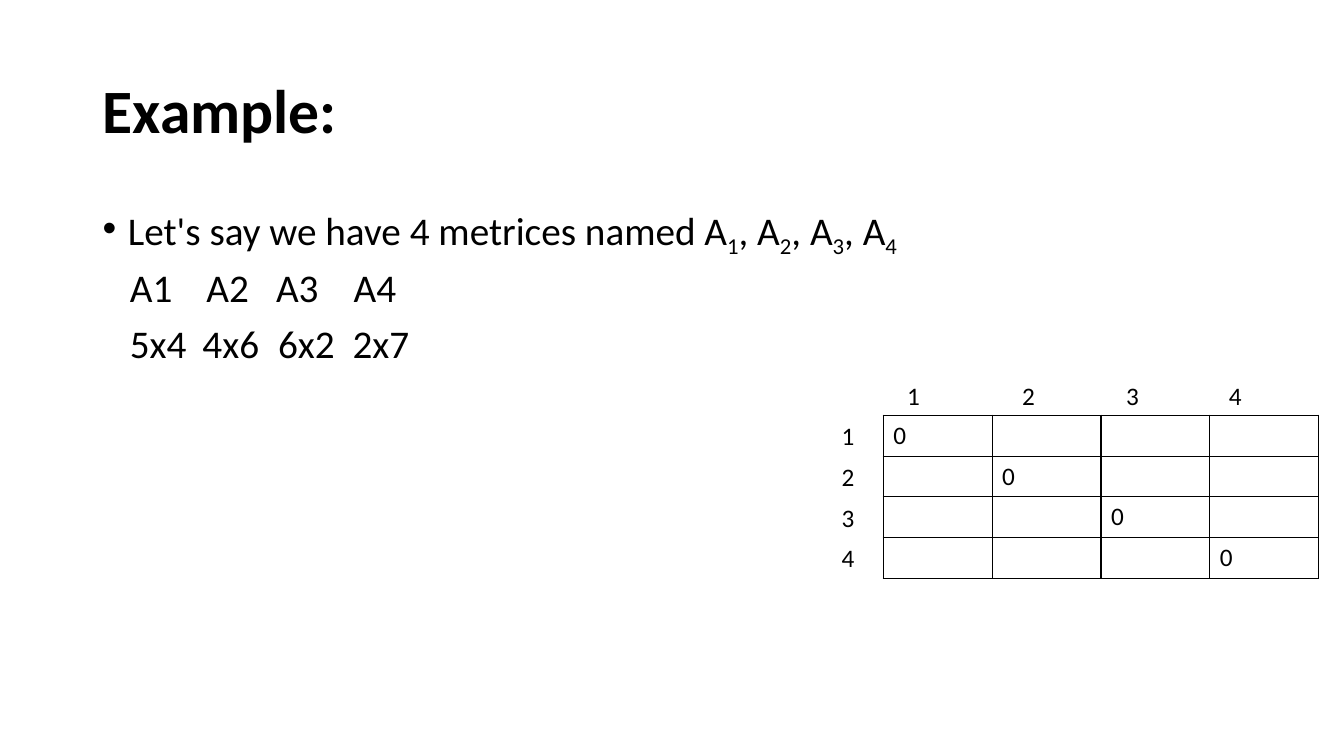
from dataclasses import dataclass

from lxml import etree
from pptx import Presentation
from pptx import util as u
from pptx.dml import color
from pptx.enum import text as t
from pptx.oxml import ns


@dataclass(frozen=True)
class Theme:
    font: str = "Calibri"
    ink: color.RGBColor = color.RGBColor(0, 0, 0)
    title_size: int = 44
    body_size: int = 28
    table_size: int = 18
    border_width: int = 1


THEME = Theme()


def add_child(parent, tag, **attributes):
    child = etree.SubElement(parent, ns.qn(tag))
    for name, value in attributes.items():
        child.set(name, str(value))
    return child


def write(paragraph, content, size, bold=False, line_spacing=None,
          space_before=0, bullet_indent=None, tabs=()):
    """Fill a paragraph; pieces after odd-numbered "_" marks are subscripts."""
    paragraph.space_before = u.Pt(space_before)
    if line_spacing:
        paragraph.line_spacing = line_spacing
    properties = paragraph._p.get_or_add_pPr()
    if bullet_indent:
        properties.set("marL", str(u.Inches(bullet_indent)))
        properties.set("indent", str(-u.Inches(bullet_indent)))
        add_child(properties, "a:buFont", typeface="Arial")
        add_child(properties, "a:buChar", char="•")
    if tabs:
        tab_list = add_child(properties, "a:tabLst")
        for position in tabs:
            add_child(tab_list, "a:tab", pos=u.Inches(position), algn="l")
    for index, piece in enumerate(content.split("_")):
        if not piece:
            continue
        run = paragraph.add_run()
        run.text = piece
        run.font.name = THEME.font
        run.font.size = u.Pt(size)
        run.font.bold = bold
        run.font.color.rgb = THEME.ink
        if index % 2:
            run._r.get_or_add_rPr().set("baseline", "-25000")


def add_text_frame(slide, left, top, width, height):
    shape = slide.shapes.add_textbox(*map(u.Inches, (left, top, width, height)))
    shape.text_frame.word_wrap = True
    return shape.text_frame


def add_title(slide, left, top, width, height):
    frame = add_text_frame(slide, left, top, width, height)
    frame.vertical_anchor = t.MSO_ANCHOR.MIDDLE
    write(frame.paragraphs[0], "Example:", THEME.title_size, bold=True, line_spacing=0.9)


def add_body(slide, left, top, width, height):
    frame = add_text_frame(slide, left, top, width, height)
    write(frame.paragraphs[0], "Let's say we have 4 metrices named A_1_, A_2_, A_3_, A_4_",
          THEME.body_size, line_spacing=0.9, bullet_indent=0.25)
    # Matrix names above their dimensions
    matrix_rows = (
        ("\tA1\tA2\tA3\tA4", (0.27, 1.03, 1.72, 2.49)),
        ("\t5x4\t4x6\t6x2\t2x7", (0.27, 0.99, 1.74, 2.48)),
    )
    for content, tabs in matrix_rows:
        write(frame.add_paragraph(), content, THEME.body_size,
              line_spacing=0.9, space_before=10, tabs=tabs)


def add_borders(cell):
    properties = cell._tc.get_or_add_tcPr()
    for side in ("a:lnL", "a:lnR", "a:lnT", "a:lnB"):
        line = add_child(properties, side, w=u.Pt(THEME.border_width))
        fill = add_child(line, "a:solidFill")
        add_child(fill, "a:srgbClr", val=THEME.ink)


def add_cost_table(slide, left, top, width, height, count=4):
    row_height = height / count
    label_height = 0.4
    frame = slide.shapes.add_table(count, count, *map(u.Inches, (left, top, width, height)))
    table = frame.table
    table.first_row = table.horz_banding = False
    for row in range(count):
        for column in range(count):
            cell = table.cell(row, column)
            add_borders(cell)
            cell.fill.background()
            if row == column:
                write(cell.text_frame.paragraphs[0], "0", THEME.table_size)

    # Column numbers
    header = add_text_frame(slide, left + 0.14, top - label_height, 4.03, label_height)
    write(header.paragraphs[0], "1\t2\t3\t4", THEME.table_size, tabs=(1.14, 2.17, 3.19))

    # Row numbers
    for row in range(count):
        label = add_text_frame(slide, left - 0.51, top + row * row_height, 0.51, label_height)
        write(label.paragraphs[0], str(row + 1), THEME.table_size)


def main():
    presentation = Presentation()
    presentation.slide_width = u.Inches(13.33)
    presentation.slide_height = u.Inches(7.5)
    slide = presentation.slides.add_slide(presentation.slide_layouts[6])
    add_title(slide, 0.92, 0.4, 11.5, 1.45)
    add_body(slide, 0.92, 2, 11.5, 4.76)
    add_cost_table(slide, 8.76, 4.12, 4.32, 1.62)
    presentation.save("out.pptx")


if __name__ == "__main__":
    main()
